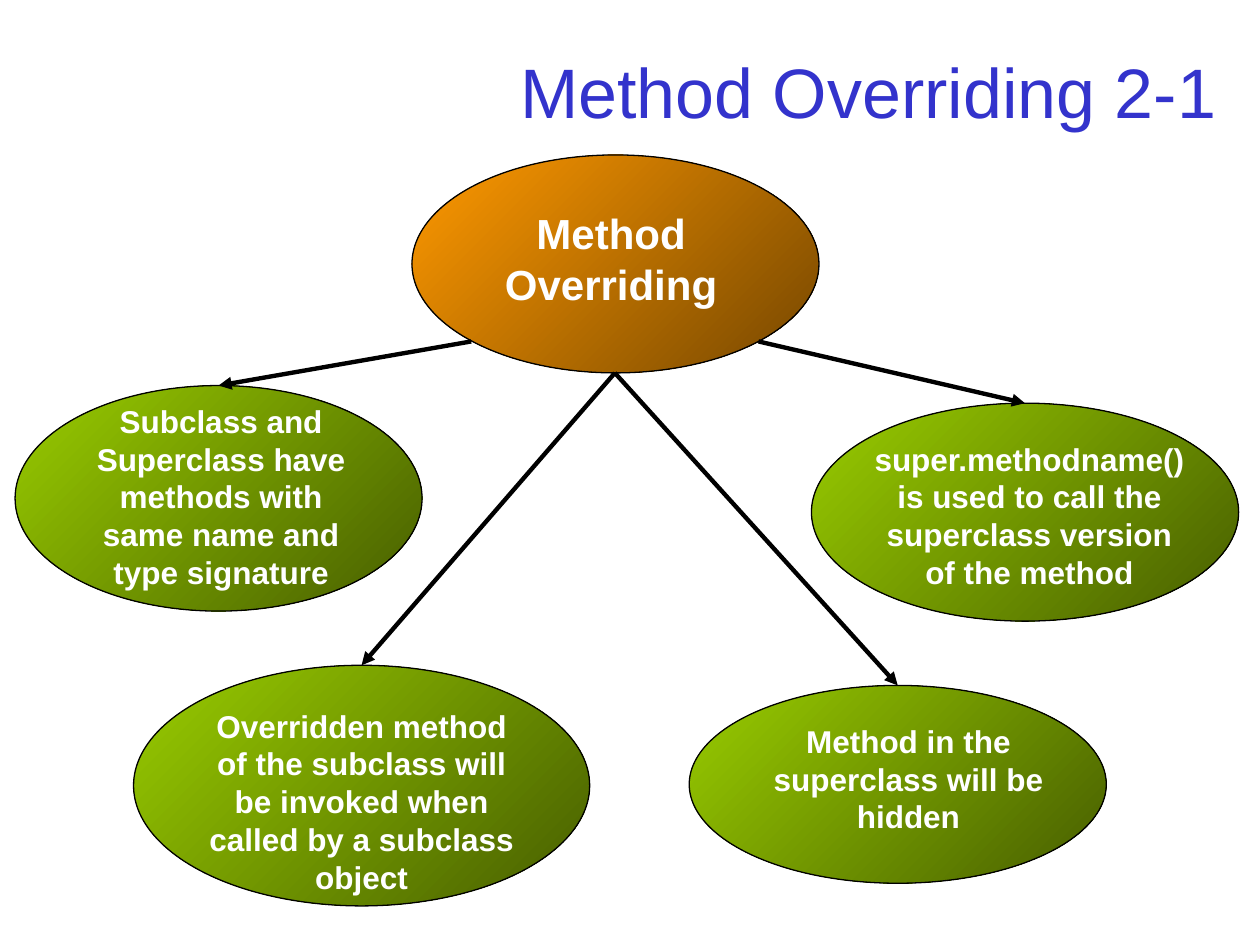
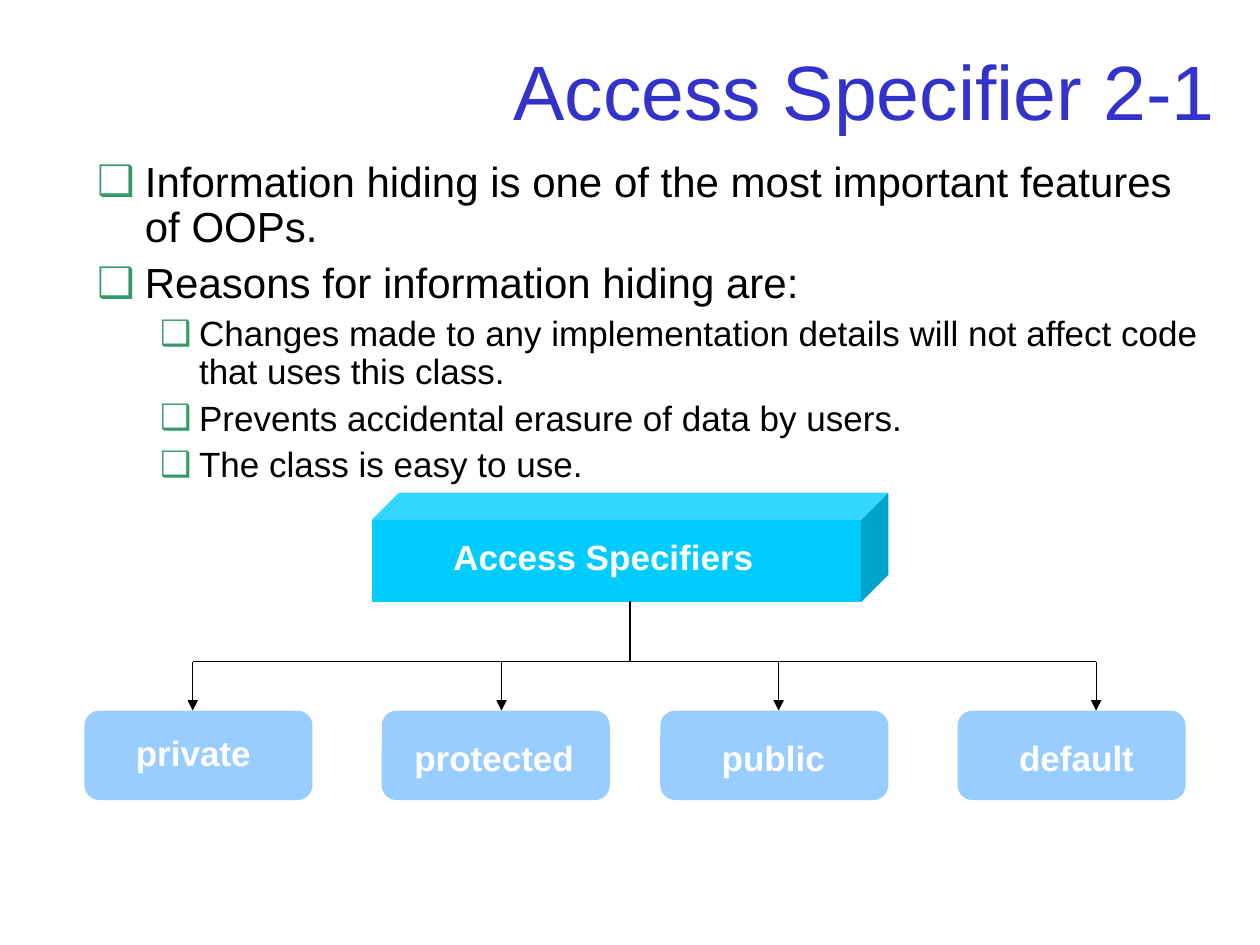
from lxml import etree
from pptx import Presentation
from pptx.dml.color import RGBColor
from pptx.enum.shapes import MSO_CONNECTOR, MSO_SHAPE
from pptx.enum.text import MSO_ANCHOR, PP_ALIGN
from pptx.oxml.ns import qn
from pptx.util import Inches, Pt

ELLIPSE, CUBE, ROUNDED = MSO_SHAPE.OVAL, MSO_SHAPE.CUBE, MSO_SHAPE.ROUNDED_RECTANGLE
STRAIGHT = MSO_CONNECTOR.STRAIGHT
LEFT, CENTER, RIGHT = PP_ALIGN.LEFT, PP_ALIGN.CENTER, PP_ALIGN.RIGHT
MIDDLE = MSO_ANCHOR.MIDDLE
TITLE_ONLY, TITLE_AND_BODY = 5, 1

FONT = "Arial"
BLACK, WHITE, TITLE_BLUE = "000000", "FFFFFF", "3333CC"
BULLET_GREEN, CYAN, LIGHT_BLUE = "339966", "00CCFF", "99CCFF"
ORANGE_FADE = ("FF9900", "764700")
GREEN_FADE = ("99CC00", "475E00")


def color(value):
    return RGBColor.from_string(value)


def place(shape, box):
    shape.left, shape.top, shape.width, shape.height = map(Inches, box)


def write(p, text, size=18, fill=BLACK, bold=False, align=LEFT):
    p.alignment = align
    r = p.add_run()
    r.text = text
    r.font.name, r.font.size, r.font.bold = FONT, Pt(size), bold
    r.font.color.rgb = color(fill)


def add_slide(prs, layout, title, size):
    s = prs.slides.add_slide(prs.slide_layouts[layout])
    place(s.shapes.title, (0.75, 0.28, 9, 0.87))
    tf = s.shapes.title.text_frame
    tf.vertical_anchor = MIDDLE
    write(tf.paragraphs[0], title, size=size, fill=TITLE_BLUE, align=RIGHT)
    return s


def add_label(shapes, box, text, **fmt):
    sp = shapes.add_textbox(*map(Inches, box))
    sp.text_frame.word_wrap = True
    write(sp.text_frame.paragraphs[0], text, fill=WHITE, bold=True, **fmt)


def add_block(shapes, kind, box):
    sp = shapes.add_shape(kind, *map(Inches, box))
    sp.shadow.inherit = False
    return sp


def add_solid(shapes, kind, box, fill):
    sp = add_block(shapes, kind, box)
    sp.fill.solid()
    sp.fill.fore_color.rgb = color(fill)
    sp.line.fill.background()


def add_ellipse(s, box, fade, label_box, text, size=18):
    """Shaded ellipse grouped with its label."""
    shapes = s.shapes.add_group_shape().shapes
    sp = add_block(shapes, ELLIPSE, box)
    sp.fill.gradient()
    sp.fill.gradient_angle = 315
    for stop, value in zip(sp.fill.gradient_stops, fade):
        stop.color.rgb = color(value)
    sp.line.color.rgb = color(BLACK)
    sp.line.width = Pt(0.75)
    add_label(shapes, label_box, text, size=size, align=CENTER)
    return sp


def add_line(s, start, end, width=0.75, arrow=False):
    c = s.shapes.add_connector(STRAIGHT, *map(Inches, start + end))
    c.line.color.rgb = color(BLACK)
    c.line.width = Pt(width)
    if arrow:
        etree.SubElement(c.get_or_add_ln(), qn("a:tailEnd"), type="triangle")
    etree.SubElement(c._element.spPr, qn("a:effectLst"))
    return c


def add_bullet(p, text, level):
    margin, hang, size, before = [(0.38, 0.38, 24, 6), (0.81, 0.31, 20, 5)][level]
    p.level = level
    pPr = p._p.get_or_add_pPr()
    pPr.set("marL", str(Inches(margin)))
    pPr.set("indent", str(-Inches(hang)))
    bu_clr = etree.SubElement(pPr, qn("a:buClr"))
    etree.SubElement(bu_clr, qn("a:srgbClr"), val=BULLET_GREEN)
    etree.SubElement(pPr, qn("a:buChar"), char="❑")
    p.line_spacing = 0.9
    p.space_before = Pt(before)
    write(p, text, size=size)


def add_bullets(s, box, items):
    body = s.placeholders[1]
    place(body, box)
    tf = body.text_frame
    for i, (level, text) in enumerate(items):
        add_bullet(tf.add_paragraph() if i else tf.paragraphs[0], text, level)
    tf.paragraphs[0].space_before = Pt(0)


def build_overriding(prs):
    s = add_slide(prs, TITLE_ONLY, "Method Overriding 2-1", 40)
    add_ellipse(s, (3.27, 1.23, 3.23, 1.73), ORANGE_FADE,
                (3.48, 1.6, 2.74, 0.9), "Method Overriding", size=24)

    # Ellipse, label box, text, and where its arrow leaves the centre ellipse
    rules = [
        ((0.12, 3.06, 3.23, 1.79), (0.52, 3.14, 2.47, 1.6),
         "Subclass and Superclass have methods with same name and type signature",
         (3.74, 2.71)),
        ((1.06, 5.28, 3.62, 1.91), (1.53, 5.56, 2.68, 1.6),
         "Overridden method of the subclass will be invoked when called by a "
         "subclass object", (4.88, 2.96)),
        ((5.47, 5.44, 3.31, 1.57), (5.87, 5.68, 2.68, 1),
         "Method in the superclass will be hidden", (4.88, 2.96)),
        ((6.44, 3.2, 3.39, 1.73), (6.83, 3.44, 2.68, 1.3),
         "super.methodname() is used to call the superclass version of the method",
         (6.02, 2.71)),
    ]
    for box, label_box, text, start in rules:
        sp = add_ellipse(s, box, GREEN_FADE, label_box, text)
        top = (box[0] + box[2] / 2, box[1])
        add_line(s, start, top, width=2.5, arrow=True).end_connect(sp, 0)


def build_specifiers(prs):
    s = add_slide(prs, TITLE_AND_BODY, "Access Specifier 2-1", 44)
    add_bullets(s, (0.67, 1.23, 9, 2.83), [
        (0, "Information hiding is one of the most important features of OOPs."),
        (0, "Reasons for information hiding are:"),
        (1, "Changes made to any implementation details will not affect code "
            "that uses this class."),
        (1, "Prevents accidental erasure of data by users."),
        (1, "The class is easy to use."),
    ])

    # Root of the tree
    add_solid(s.shapes, CUBE, (2.95, 3.91, 4.1, 0.87), CYAN)
    add_label(s.shapes, (3.5, 4.2, 3.03, 0.44), "Access Specifiers", size=20)

    # Trunk and branch line
    branch_y, box_y = 5.25, 5.64
    add_line(s, (5, branch_y), (5, 4.77))
    add_line(s, (1.53, branch_y), (8.7, branch_y))

    # Name, box left, arrow x, label left, top and width
    specifiers = [
        ("private", 0.67, 1.53, 0.98, 5.76, 1.42),
        ("protected", 3.03, 3.98, 3.19, 5.8, 1.57),
        ("public", 5.24, 6.18, 5.63, 5.8, 1.34),
        ("default", 7.6, 8.7, 7.99, 5.8, 1.34),
    ]
    for name, x, arrow_x, label_x, label_y, label_w in specifiers:
        add_line(s, (arrow_x, branch_y), (arrow_x, box_y), arrow=True)
        shapes = s.shapes.add_group_shape().shapes
        add_solid(shapes, ROUNDED, (x, box_y, 1.81, 0.71), LIGHT_BLUE)
        add_label(shapes, (label_x, label_y, label_w, 0.44), name, size=20)


def main():
    prs = Presentation()
    prs.slide_width, prs.slide_height = Inches(10), Inches(7.5)
    build_overriding(prs)
    build_specifiers(prs)
    prs.save("out.pptx")


if __name__ == "__main__":
    main()
